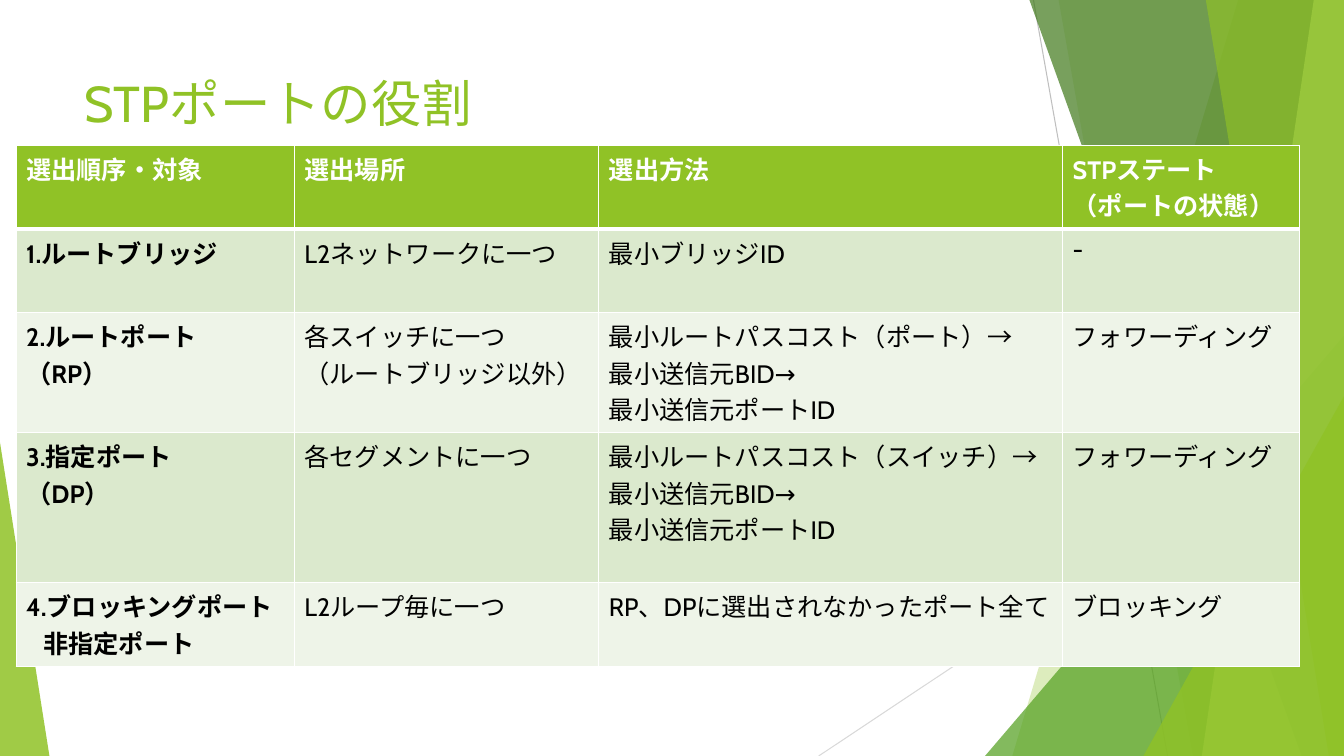
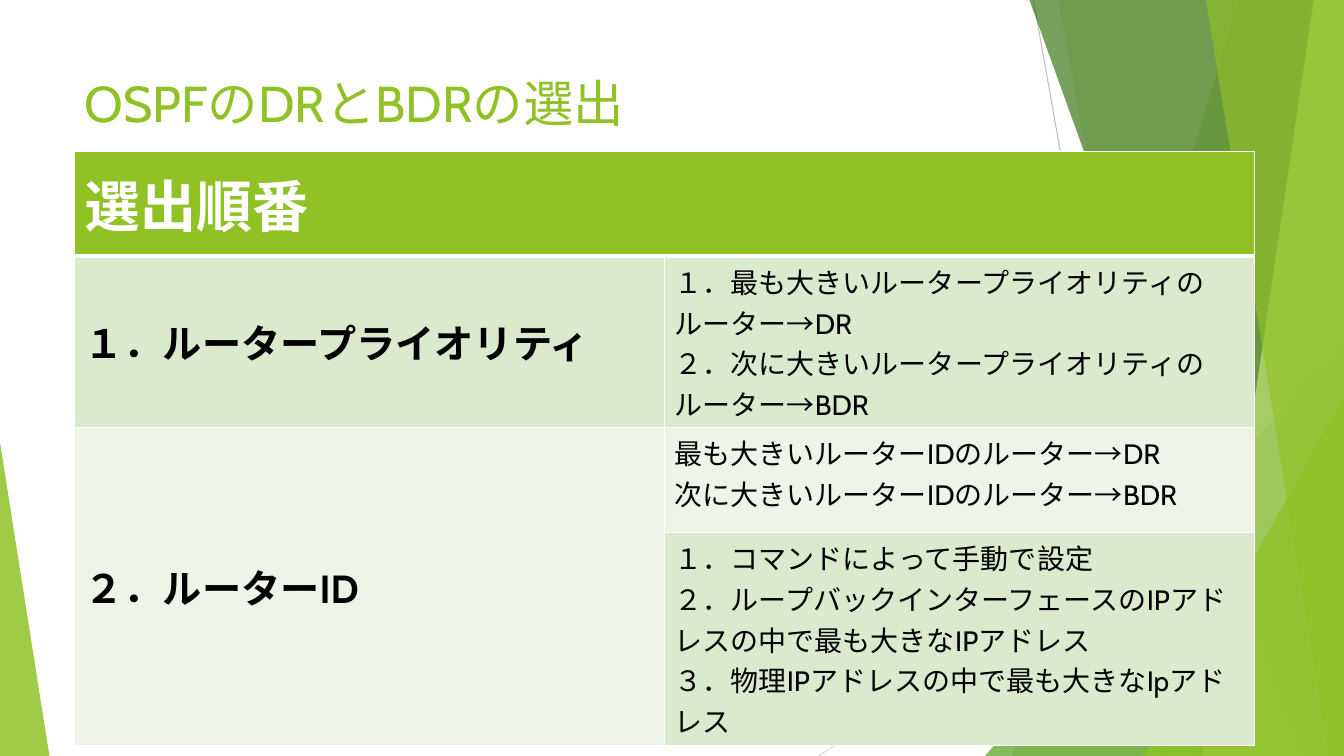
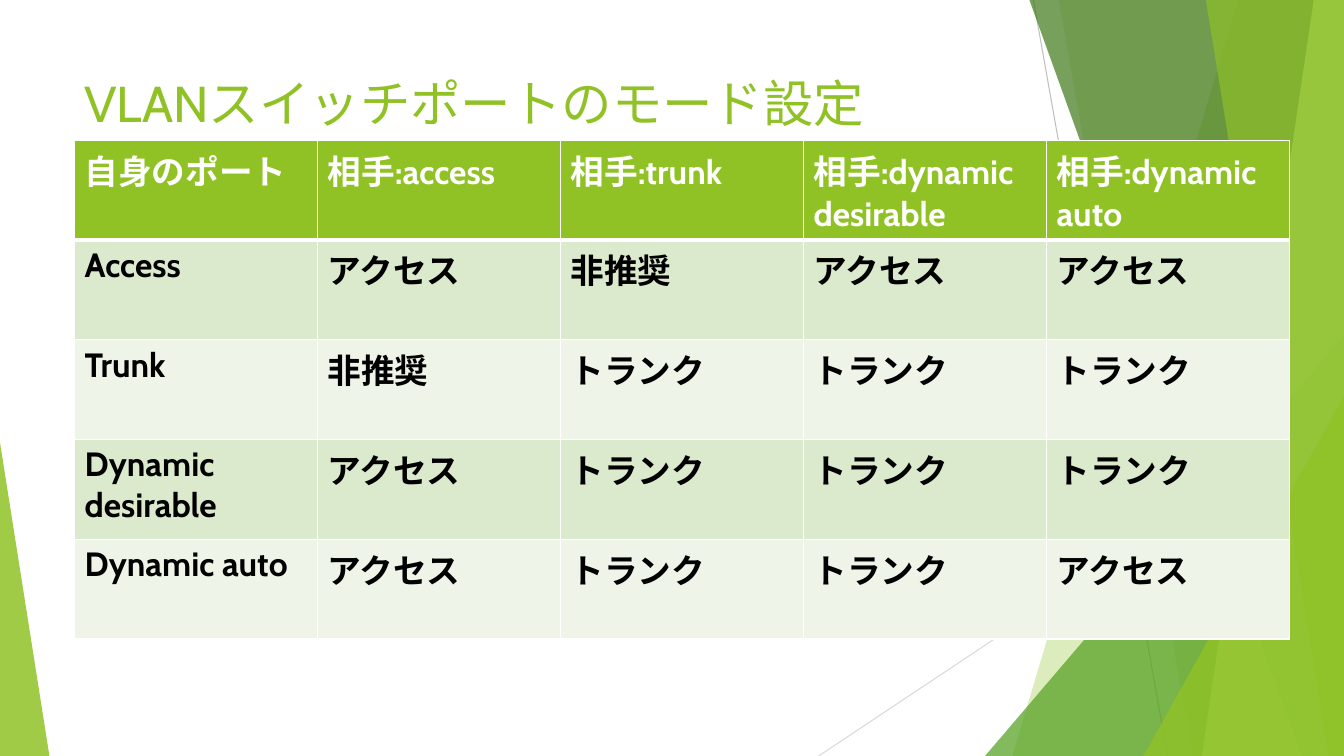
from dataclasses import dataclass

from lxml.etree import SubElement
from pptx import Presentation
from pptx.dml.color import RGBColor
from pptx.enum.shapes import MSO_CONNECTOR as Connector, MSO_SHAPE as Preset
from pptx.enum.text import MSO_ANCHOR as Anchor
from pptx.oxml.ns import qn
from pptx.util import Inches, Pt


@dataclass(frozen=True)
class Theme:
    """Colours, font and type sizes shared by every slide."""
    font: str = "Cabin"
    green: str = "90C226"
    mid_green: str = "54A021"
    dark_green: str = "3F7819"
    light_green: str = "C0E474"
    bands: tuple = ("DBE9CD", "EEF4E8")
    white: str = "FFFFFF"
    black: str = "000000"
    grey: str = "BFBFBF"
    pale_grey: str = "D9D9D9"
    title: int = 36
    roles_text: int = 18
    election_head: int = 40
    election_label: int = 28
    election_text: int = 20
    modes_text: int = 24


@dataclass(frozen=True)
class Box:
    """A region of a slide, in inches."""
    left: float
    top: float
    width: float
    height: float

    def emu(self):
        """Return the four lengths for python-pptx."""
        return [Inches(n) for n in (self.left, self.top, self.width, self.height)]

    def point(self, x, y):
        """Return the position of an offset inside the box."""
        return Inches(self.left + x), Inches(self.top + y)


THEME = Theme()
PAGE = Box(0, 0, 13.33, 7.5)
TITLE = Box(0.74, 0.67, 9.4, 1.44)


def write_text(frame, text, *, size, color, bold=False, anchor=Anchor.TOP):
    """Write each line of text as a formatted paragraph."""
    frame.word_wrap = True
    frame.vertical_anchor = anchor
    for index, line in enumerate(text.split("\n")):
        paragraph = frame.add_paragraph() if index else frame.paragraphs[0]
        run = paragraph.add_run()
        run.text = line
        run.font.name = THEME.font
        run.font.size = Pt(size)
        run.font.bold = bold
        run.font.color.rgb = RGBColor.from_string(color)


def paint(shape, color, opacity):
    """Give a shape a translucent fill without outline or shadow."""
    shape.shadow.inherit = False
    shape.line.fill.background()
    shape.fill.solid()
    shape.fill.fore_color.rgb = RGBColor.from_string(color)
    color_element = shape.fill._xPr.find(qn("a:solidFill"))[0]
    SubElement(color_element, qn("a:alpha"), val=str(opacity * 1000))


def add_line(slide, box, start, end, color):
    """Draw a thin line between two offsets in the box."""
    line = slide.shapes.add_connector(
        Connector.STRAIGHT, *box.point(*start), *box.point(*end))
    line.line.color.rgb = RGBColor.from_string(color)
    line.line.width = Pt(0.75)
    SubElement(line._element.spPr, qn("a:effectLst"))


def add_blade(slide, box, top_x, bottom_x, color, opacity):
    """Fill from a slanted edge to the right side of the box."""
    builder = slide.shapes.build_freeform(*box.point(top_x, 0), scale=1)
    builder.add_line_segments([
        box.point(box.width, 0), box.point(box.width, box.height),
        box.point(bottom_x, box.height)], close=True)
    paint(builder.convert_to_shape(), color, opacity)


def add_corner(slide, box, width, height, color, opacity, right=True):
    """Place a right triangle in a bottom corner of the box."""
    left = box.left + (box.width - width if right else 0)
    corner = Box(left, box.top + box.height - height, width, height)
    shape = slide.shapes.add_shape(Preset.ISOSCELES_TRIANGLE, *corner.emu())
    shape.adjustments[0] = 1 if right else 0
    paint(shape, color, opacity)


def add_backdrop(slide, box):
    """Draw the layered green facets, from back to front."""
    add_line(slide, box, (10.25, 0), (11.58, box.height), THEME.grey)
    add_line(slide, box, (box.width, 4.03), (8.12, box.height), THEME.pale_grey)
    add_blade(slide, box, 12.28, 10.04, THEME.green, 30)
    add_blade(slide, box, 10.5, 11.83, THEME.green, 20)
    add_corner(slide, box, 3.56, 4.17, THEME.mid_green, 72)
    add_blade(slide, box, 10.21, 12.91, THEME.dark_green, 70)
    add_blade(slide, box, 13.03, 11.92, THEME.light_green, 70)
    add_blade(slide, box, 11.96, 13.18, THEME.green, 65)
    add_corner(slide, box, 1.99, 3.57, THEME.green, 80)
    add_corner(slide, box, 0.49, 3.11, THEME.green, 85, right=False)


def add_titled_slide(presentation, title):
    """Add a blank slide with the shared backdrop and title."""
    slide = presentation.slides.add_slide(presentation.slide_layouts[6])
    add_backdrop(slide, PAGE)
    text_box = slide.shapes.add_textbox(*TITLE.emu())
    write_text(text_box.text_frame, title, size=THEME.title, color=THEME.green)
    return slide


def style_cell(cell, is_header, fill):
    """Set white borders, heavier under the header, and the fill."""
    properties = cell._tc.get_or_add_tcPr()
    for side in "LRTB":
        points = 3 if is_header and side == "B" else 1
        border = SubElement(properties, qn(f"a:ln{side}"), w=str(Pt(points)))
        solid = SubElement(border, qn("a:solidFill"))
        SubElement(solid, qn("a:srgbClr"), val=THEME.white)
    cell.fill.solid()
    cell.fill.fore_color.rgb = RGBColor.from_string(fill)


def add_grid(slide, box, widths, heights, rows, *, size, head_size=None,
             label_size=None, label_anchor=Anchor.TOP, bold_body=False):
    """Add a banded table; a None cell is covered by a merge."""
    table = slide.shapes.add_table(len(rows), len(widths), *box.emu()).table
    for column, width in zip(table.columns, widths):
        column.width = Inches(width)
    for row, height in zip(table.rows, heights):
        row.height = Inches(height)
    for y, texts in enumerate(rows):
        for x, text in enumerate(texts):
            cell = table.cell(y, x)
            is_header, is_label = y == 0, x == 0
            style_cell(cell, is_header,
                       THEME.green if is_header else THEME.bands[(y - 1) % 2])
            if text is None:
                continue
            special = head_size if is_header else label_size if is_label else None
            write_text(cell.text_frame, text, size=special or size,
                       color=THEME.white if is_header else THEME.black,
                       bold=is_header or is_label or bold_body)
            cell.vertical_anchor = label_anchor if is_label else Anchor.TOP
    return table


def build_port_roles(presentation):
    """Build the table of STP port roles."""
    slide = add_titled_slide(presentation, "STPポートの役割")
    tie_break = "最小送信元BID→\n最小送信元ポートID"
    rows = [
        ["選出順序・対象", "選出場所", "選出方法", "STPステート\n（ポートの状態）"],
        ["1.ルートブリッジ", "L2ネットワークに一つ", "最小ブリッジID", "-"],
        ["2.ルートポート\n（RP）", "各スイッチに一つ\n（ルートブリッジ以外）",
         f"最小ルートパスコスト（ポート）→\n{tie_break}", "フォワーディング"],
        ["3.指定ポート\n（DP）", "各セグメントに一つ",
         f"最小ルートパスコスト（スイッチ）→\n{tie_break}", "フォワーディング"],
        ["4.ブロッキングポート\n非指定ポート", "L2ループ毎に一つ",
         "RP、DPに選出されなかったポート全て", "ブロッキング"],
    ]
    table = add_grid(slide, Box(0.16, 1.44, 12.73, 5.17), [2.76, 3.02, 4.6, 2.35],
                     [0.83, 0.83, 1.19, 1.49, 0.83], rows, size=THEME.roles_text)
    alias = table.cell(4, 0).text_frame.paragraphs[1]
    alias._p.get_or_add_pPr().set("marL", str(Inches(0.17)))


def build_router_election(presentation):
    """Build the table of the OSPF DR and BDR election."""
    slide = add_titled_slide(presentation, "OSPFのDRとBDRの選出")
    rows = [
        ["選出順番", None],
        ["１．ルータープライオリティ",
         "１．最も大きいルータープライオリティのルーター→DR\n"
         "２．次に大きいルータープライオリティのルーター→BDR"],
        ["２．ルーターID",
         "最も大きいルーターIDのルーター→DR\n次に大きいルーターIDのルーター→BDR"],
        [None,
         "１．コマンドによって手動で設定\n"
         "２．ループバックインターフェースのIPアドレスの中で最も大きなIPアドレス\n"
         "３．物理IPアドレスの中で最も大きなIpアドレス"],
    ]
    table = add_grid(slide, Box(0.74, 1.5, 11.7, 5.9), [5.85] * 2,
                     [1.04, 1.7, 1.04, 2.12], rows, size=THEME.election_text,
                     head_size=THEME.election_head,
                     label_size=THEME.election_label, label_anchor=Anchor.MIDDLE)
    table.cell(0, 0).merge(table.cell(0, 1))
    table.cell(2, 0).merge(table.cell(3, 0))


def build_switchport_modes(presentation):
    """Build the matrix of VLAN switch port modes."""
    slide = add_titled_slide(presentation, "VLANスイッチポートのモード設定")
    access, trunk, avoid = "アクセス", "トランク", "非推奨"
    peers = ["access", "trunk", "dynamic desirable", "dynamic auto"]
    results = [
        [access, avoid, access, access],
        [avoid, trunk, trunk, trunk],
        [access, trunk, trunk, trunk],
        [access, trunk, trunk, access],
    ]
    rows = [["自身のポート"] + [f"相手:{peer}" for peer in peers]]
    rows += [[peer.capitalize()] + result for peer, result in zip(peers, results)]
    add_grid(slide, Box(0.74, 1.39, 12.05, 4.95), [2.41] * 5, [0.99] * 5, rows,
             size=THEME.modes_text, bold_body=True)


def main():
    """Build and save the presentation."""
    presentation = Presentation()
    presentation.slide_width = Inches(PAGE.width)
    presentation.slide_height = Inches(PAGE.height)
    build_port_roles(presentation)
    build_router_election(presentation)
    build_switchport_modes(presentation)
    presentation.save("out.pptx")


main()
